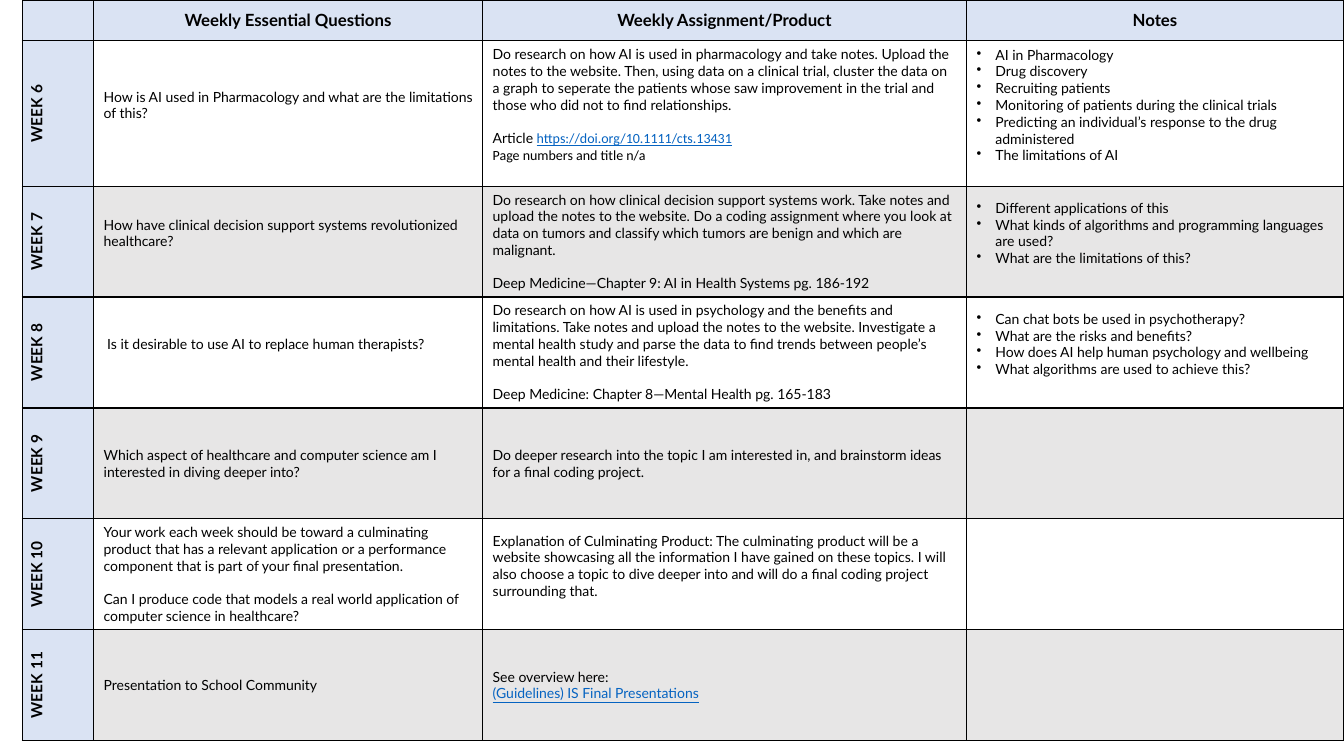
"""Builds the weekly plan table for weeks 6 to 11."""
from lxml import etree
from pptx import Presentation
from pptx.dml.color import RGBColor
from pptx.enum.text import MSO_ANCHOR, PP_ALIGN
from pptx.oxml.ns import qn
from pptx.util import Pt

MIDDLE = MSO_ANCHOR.MIDDLE
CENTER, LEFT = PP_ALIGN.CENTER, PP_ALIGN.LEFT

BLACK = RGBColor(0x00, 0x00, 0x00)
LINK_BLUE = RGBColor(0x05, 0x63, 0xC1)
HEADER_BLUE = RGBColor(0xDA, 0xE3, 0xF3)
BAND_GRAY = RGBColor(0xE7, 0xE6, 0xE6)

COLUMN_WIDTHS = [51.1, 277.9, 345.6, 269.3]
HEADER_HEIGHT = 28.2
FIRST_WEEK = 6
WEEK_HEIGHTS = [103.6] + [79.2] * 5
LINE = 12

HEADERS = ["", "Weekly Essential Questions", "Weekly Assignment/Product", "Notes"]

WEEKS = [
    (
        [["How is AI used in Pharmacology and what are the limitations of this?"]],
        [["Do research on how AI is used in pharmacology and take notes. Upload the notes to the "
          "website. Then, using data on a clinical trial, cluster the data on a graph to seperate "
          "the patients whose saw improvement in the trial and those who did not to find "
          "relationships."],
         [[("Article ", "Lato", False), ("https://doi.org/10.1111/cts.13431", "Calibri", True)],
          [("Page numbers and title n/a", "Calibri", False)]]],
        ["AI in Pharmacology", "Drug discovery", "Recruiting patients",
         "Monitoring of patients during the clinical trials",
         "Predicting an individual’s response to the drug administered",
         "The limitations of AI"],
    ),
    (
        [["How have clinical decision support systems revolutionized healthcare?"]],
        [["Do research on how clinical decision support systems work. Take notes and upload the "
          "notes to the website. Do a coding assignment where you look at data on tumors and "
          "classify which tumors are benign and which are malignant."],
         ["Deep Medicine—Chapter 9: AI in Health Systems pg. 186-192"]],
        ["Different applications of this",
         "What kinds of algorithms and programming languages are used?",
         "What are the limitations of this?"],
    ),
    (
        [[" Is it desirable to use AI to replace human therapists?"]],
        [["Do research on how AI is used in psychology and the benefits and limitations. Take "
          "notes and upload the notes to the website. Investigate a mental health study and parse "
          "the data to find trends between people’s mental health and their lifestyle."],
         ["Deep Medicine: Chapter 8—Mental Health pg. 165-183"]],
        ["Can chat bots be used in psychotherapy?", "What are the risks and benefits?",
         "How does AI help human psychology and wellbeing",
         "What algorithms are used to achieve this?"],
    ),
    (
        [["Which aspect of healthcare and computer science am I interested in diving deeper "
          "into?"]],
        [["Do deeper research into the topic I am interested in, and brainstorm ideas for a final "
          "coding project."]],
        [],
    ),
    (
        [["Your work each week should be toward a culminating product that has a relevant "
          "application or a performance component that is part of your final presentation."],
         ["Can I produce code that models a real world application of computer science in "
          "healthcare?"]],
        [["Explanation of Culminating Product: The culminating product will be a website "
          "showcasing all the information I have gained on these topics. I will also choose a "
          "topic to dive deeper into and will do a final coding project surrounding that."]],
        [],
    ),
    (
        [["Presentation to School Community"]],
        [["See overview here:", [("(Guidelines) IS Final Presentations", "Lato", True)]]],
        [],
    ),
]

RAISED = {(1, 1), (1, 2), (1, 3), (2, 1), (2, 3), (3, 1), (3, 3), (5, 2)}


class PlanSlide:
    """Holds the text style and the current slide."""

    font = "Lato"
    indent = Pt(13.5)

    def __init__(self, prs):
        self.s = prs.slides.add_slide(prs.slide_layouts[6])

    def table(self, left, top, widths, heights):
        """Adds an unstyled table with the given columns and rows."""
        frame = self.s.shapes.add_table(len(heights), len(widths), Pt(left), Pt(top),
                                        Pt(sum(widths)), Pt(sum(heights)))
        table = frame.table
        table.first_row = table.horz_banding = False
        for column, width in zip(table.columns, widths):
            column.width = Pt(width)
        for row, height in zip(table.rows, heights):
            row.height = Pt(height)
        return table

    def cell(self, cell, fill=None, raised=False):
        """Gives a cell its fill, borders and anchor."""
        cell.vertical_anchor = MIDDLE
        cell.margin_bottom = Pt(3.6 + LINE * raised)
        if fill is None:
            cell.fill.background()
        else:
            cell.fill.solid()
            cell.fill.fore_color.rgb = fill
        tc_pr = cell._tc.get_or_add_tcPr()
        for i, side in enumerate(("a:lnL", "a:lnR", "a:lnT", "a:lnB")):
            ln = etree.Element(qn(side), w=str(Pt(1)))
            solid = etree.SubElement(ln, qn("a:solidFill"))
            etree.SubElement(solid, qn("a:srgbClr"), val=str(BLACK))
            tc_pr.insert(i, ln)

    def paragraph(self, p, content, size=10, bold=False, align=LEFT):
        """Writes a string, or a list of (text, font, is link) runs."""
        p.alignment = align
        p.font.name, p.font.size, p.font.bold = self.font, Pt(size), bold
        p.font.color.rgb = BLACK
        if isinstance(content, str):
            p.add_run().text = content
            return
        for text, font, is_link in content:
            r = p.add_run()
            r.text, r.font.name = text, font
            if is_link:
                r.font.color.rgb, r.font.underline = LINK_BLUE, True

    def blocks(self, cell, blocks):
        """Writes groups of paragraphs with a line of space between groups."""
        tf = cell.text_frame
        for i, block in enumerate(blocks):
            for j, content in enumerate(block):
                p = tf.add_paragraph() if i or j else tf.paragraphs[0]
                self.paragraph(p, content)
                if i and not j:
                    p.space_before = Pt(LINE)

    def bullets(self, cell, items):
        """Writes a bulleted list."""
        self.blocks(cell, [items])
        for p in cell.text_frame.paragraphs[:len(items)]:
            p_pr = p._p.get_or_add_pPr()
            p_pr.set("marL", str(self.indent))
            p_pr.set("indent", str(-self.indent))
            bullet = etree.Element(qn("a:buChar"), char="•")
            p_pr.find(qn("a:defRPr")).addprevious(bullet)

    def label(self, cell, text, size, upright=True):
        """Writes a bold centred label, turned to read upwards if not upright."""
        self.paragraph(cell.text_frame.paragraphs[0], text, size, True, CENTER)
        if not upright:
            cell._tc.get_or_add_tcPr().set("vert", "vert270")


def main():
    """Builds and saves the slide."""
    prs = Presentation()
    prs.slide_width, prs.slide_height = Pt(960), Pt(540)
    plan = PlanSlide(prs)
    table = plan.table(15.8, 0, COLUMN_WIDTHS, [HEADER_HEIGHT] + WEEK_HEIGHTS)
    for column, header in enumerate(HEADERS):
        cell = table.cell(0, column)
        plan.cell(cell, HEADER_BLUE)
        if header:
            plan.label(cell, header, 12)
    for row, (questions, assignment, notes) in enumerate(WEEKS, 1):
        band = None if row % 2 else BAND_GRAY
        for column in range(len(HEADERS)):
            plan.cell(table.cell(row, column), band if column else HEADER_BLUE,
                      (row, column) in RAISED)
        plan.label(table.cell(row, 0), f"WEEK {FIRST_WEEK + row - 1}", 11, upright=False)
        plan.blocks(table.cell(row, 1), questions)
        plan.blocks(table.cell(row, 2), assignment)
        plan.bullets(table.cell(row, 3), notes)
    prs.save("out.pptx")


if __name__ == "__main__":
    main()
